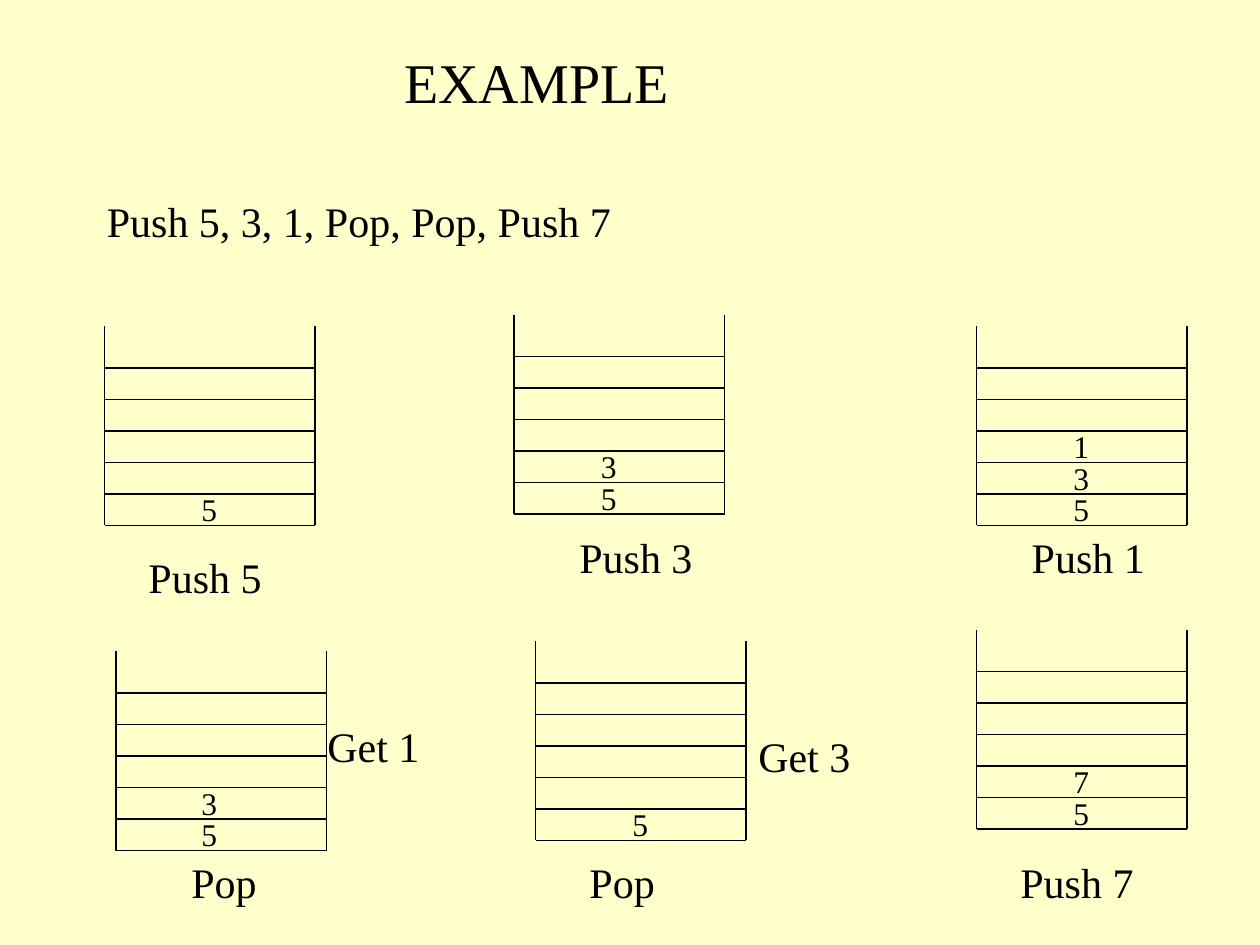
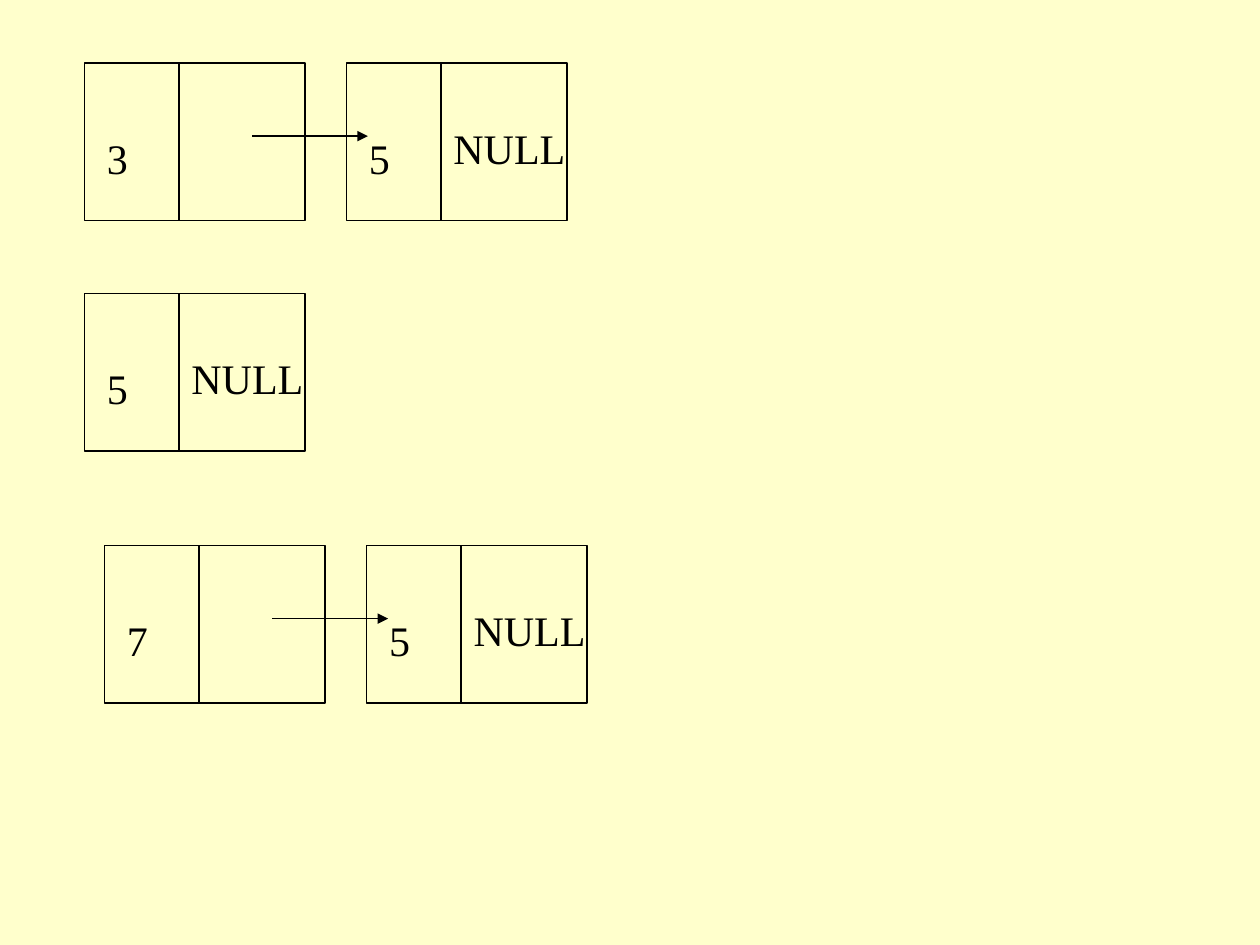
from lxml import etree
from pptx import Presentation
from pptx.dml.color import RGBColor
from pptx.enum.shapes import MSO_CONNECTOR, MSO_SHAPE
from pptx.enum.text import MSO_AUTO_SIZE
from pptx.oxml.ns import qn
from pptx.util import Inches, Pt

STRAIGHT = MSO_CONNECTOR.STRAIGHT
RECT = MSO_SHAPE.RECTANGLE
FIT_TEXT = MSO_AUTO_SIZE.SHAPE_TO_FIT_TEXT

# Shared look
CREAM = RGBColor(0xFF, 0xFF, 0xCC)
BLACK = RGBColor(0, 0, 0)
FONT = "Times New Roman"
LINE_WIDTH = Pt(0.75)
TITLE_SIZE, BODY_SIZE, VALUE_SIZE = 32, 24, 18

# Stack geometry
STACK_W, STACK_H = 1.67, 1.58
ROW_H, ROWS = 0.25, 5

# List node geometry
NODE_W, NODE_H = 1.75, 1.25
DATA_W, NODE_STEP = 0.75, 2.08

# left, bottom, left of values, values from the bottom up
STACKS = [
    (0.83, 4.17, 1.5, "5"),
    (4.08, 4.08, 4.67, "53"),
    (7.75, 4.17, 8.42, "531"),
    (0.92, 6.75, 1.5, "53"),
    (4.25, 6.67, 4.92, "5"),
    (7.75, 6.58, 8.42, "57"),
]

# text, left, top, width, wrap
LABELS = [
    ("Push 5, 3, 1, Pop, Pop, Push 7", 0.75, 1.5, 7, True),
    ("Push 5", 1.08, 4.33, 1.42, True),
    ("Push 3", 4.5, 4.17, 1.1, False),
    ("Push 1", 8.09, 4.17, 1.1, False),
    ("Pop", 1.42, 6.75, 1.42, True),
    ("Pop", 4.58, 6.75, 1.42, True),
    ("Push 7", 8, 6.75, 1.42, True),
    ("Get 1", 2.5, 5.67, 1, True),
    ("Get 3", 5.92, 5.75, 1, True),
]

# left, top, node values
LISTS = [
    (0.67, 0.5, "35"),
    (0.67, 2.33, "5"),
    (0.83, 4.33, "75"),
]


def add_text(shapes, text, x, y, w, h=0.5, size=BODY_SIZE, wrap=True, indent=0.1):
    sp = shapes.add_textbox(Inches(x), Inches(y), Inches(w), Inches(h))
    tf = sp.text_frame
    frame_format = {"word_wrap": wrap, "auto_size": FIT_TEXT,
                    "margin_left": Inches(indent)}
    for name, value in frame_format.items():
        setattr(tf, name, value)
    r = tf.paragraphs[0].add_run()
    r.text = text
    for name, value in {"name": FONT, "size": Pt(size)}.items():
        setattr(r.font, name, value)
    r.font.color.rgb = BLACK


def add_line(shapes, x1, y1, x2, y2, arrow=False):
    cx = shapes.add_connector(STRAIGHT, Inches(x1), Inches(y1), Inches(x2), Inches(y2))
    cx.line.color.rgb = BLACK
    cx.line.width = LINE_WIDTH
    if arrow:
        etree.SubElement(cx.line._get_or_add_ln(), qn("a:tailEnd"), type="triangle")
    etree.SubElement(cx._element.spPr, qn("a:effectLst"))


def add_stack(slide, left, bottom, value_left, values):
    shapes = slide.shapes.add_group_shape().shapes
    right = left + STACK_W
    # Open-topped sides, then the floor and the row lines
    for x in (left, right):
        add_line(shapes, x, bottom - STACK_H, x, bottom)
    for row in range(ROWS + 1):
        y = bottom - row * ROW_H
        add_line(shapes, left, y, right, y)
    for row, value in enumerate(values):
        add_text(shapes, value, value_left, bottom - 0.33 - row * ROW_H,
                 0.33, 0.4, VALUE_SIZE)


def add_node(shapes, left, top, value):
    sp = shapes.add_shape(RECT, Inches(left), Inches(top), Inches(NODE_W), Inches(NODE_H))
    sp.shadow.inherit = False
    sp.fill.background()
    sp.line.color.rgb = BLACK
    sp.line.width = LINE_WIDTH
    divider = left + DATA_W
    add_line(shapes, divider, top, divider, top + NODE_H)
    add_text(shapes, value, left + 0.08, top + 0.5, 0.83)


def add_linked_list(slide, left, top, values):
    shapes = slide.shapes.add_group_shape().shapes
    last = len(values) - 1
    for i, value in enumerate(values):
        x = left + i * NODE_STEP
        add_node(shapes, x, top, value)
        if i < last:
            add_line(shapes, x + 1.33, top + 0.58, x + 2.25, top + 0.58, arrow=True)
        else:
            add_text(shapes, "NULL", x + DATA_W, top + 0.42, 1.92)


def build_stack_slide(slide):
    add_text(slide.shapes, "EXAMPLE", 2, 0.33, 5.33, 0.64, TITLE_SIZE, indent=1.21)
    for stack in STACKS:
        add_stack(slide, *stack)
    for text, x, y, w, wrap in LABELS:
        add_text(slide.shapes, text, x, y, w, wrap=wrap)


def build_list_slide(slide):
    for linked_list in LISTS:
        add_linked_list(slide, *linked_list)


def main():
    prs = Presentation()
    prs.slide_width, prs.slide_height = Inches(10), Inches(7.5)
    fill = prs.slide_master.background.fill
    fill.solid()
    fill.fore_color.rgb = CREAM
    blank = prs.slide_layouts[6]
    for build in (build_stack_slide, build_list_slide):
        build(prs.slides.add_slide(blank))
    prs.save("out.pptx")


if __name__ == "__main__":
    main()
